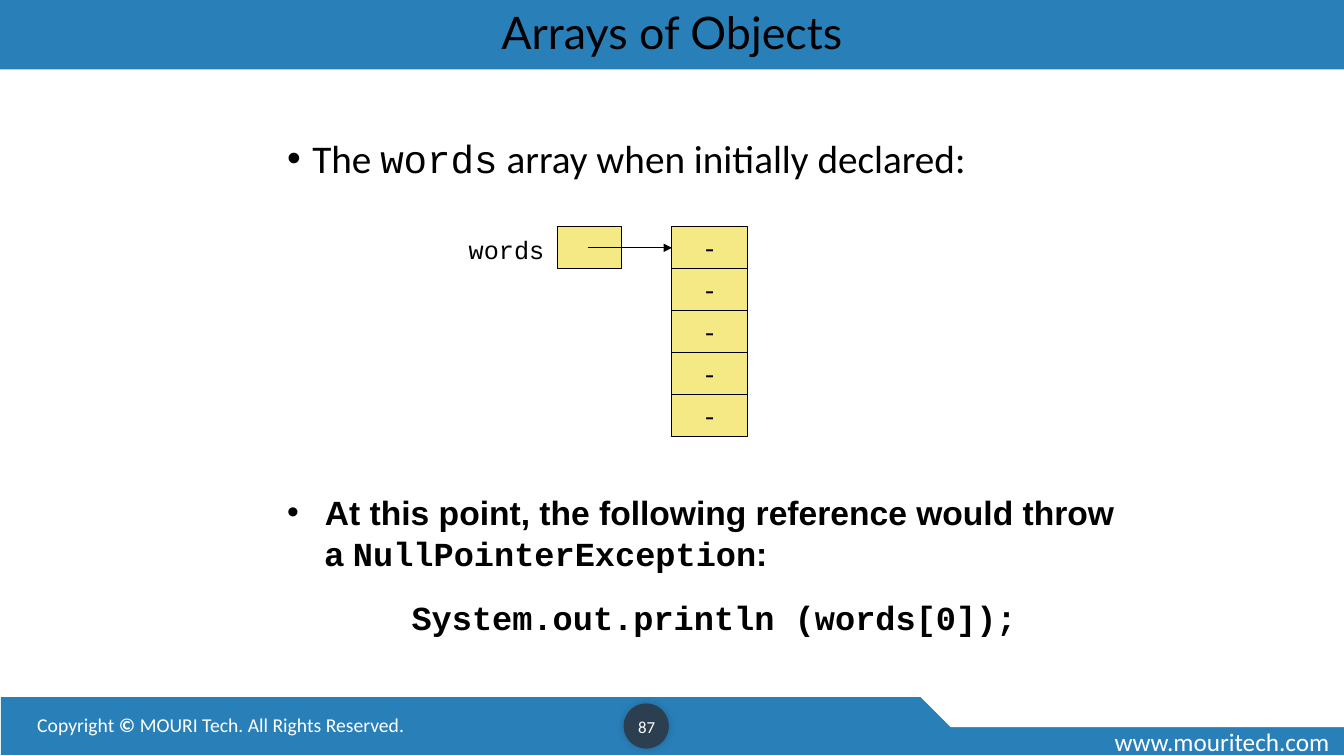
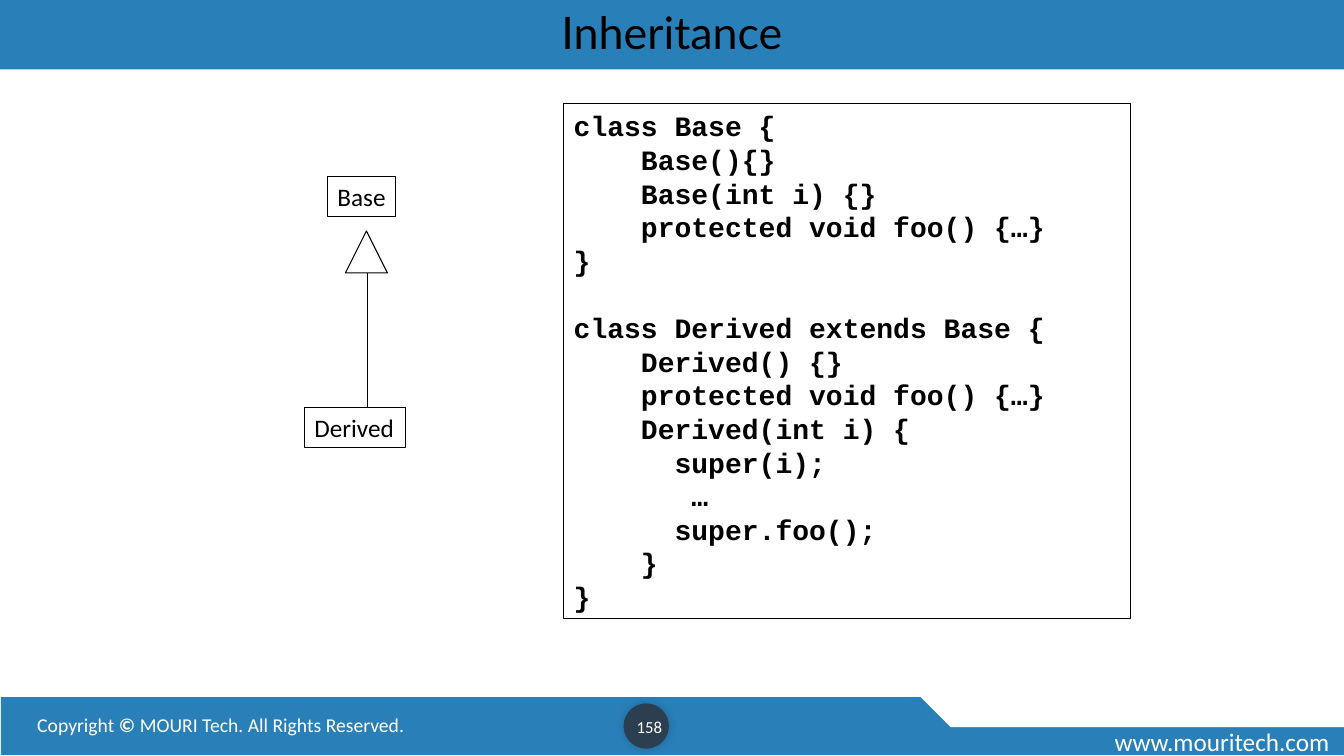
from lxml import etree
from pptx import Presentation
from pptx.dml.color import RGBColor
from pptx.enum.shapes import MSO_CONNECTOR, MSO_SHAPE
from pptx.enum.text import MSO_ANCHOR, PP_ALIGN
from pptx.oxml.ns import qn
from pptx.util import Pt

PX = 9525
SLIDE_SIZE = (1280, 720)
RECT, OVAL = MSO_SHAPE.RECTANGLE, MSO_SHAPE.OVAL
SNIPPED, TRIANGLE = MSO_SHAPE.SNIP_2_DIAG_RECTANGLE, MSO_SHAPE.ISOSCELES_TRIANGLE
STRAIGHT = MSO_CONNECTOR.STRAIGHT
LEFT, CENTER = PP_ALIGN.LEFT, PP_ALIGN.CENTER
TOP, MIDDLE = MSO_ANCHOR.TOP, MSO_ANCHOR.MIDDLE

COLORS = {"band": "2980B9", "disc": "2C3F50", "cell": "F5E985",
          "ink": "000000", "paper": "FFFFFF"}
BODY, TITLE, SANS, MONO = "Calibri", "Lato", "Arial", "Courier New"

# Mixed text is a list of (text, font, bold) runs.
WEB_ADDRESS = "www.mouritech.com"
COPYRIGHT = [("Copyright ", BODY, False), ("© ", BODY, True),
             ("MOURI Tech. All Rights Reserved.", BODY, False)]

ARRAY_INTRO = [("The ", BODY, False), ("words", MONO, False),
               (" array when initially declared:", BODY, False)]
ARRAY_VALUES = ["-"] * 5
NULL_WARNING = [
    [("At this point, the following reference would throw a ", SANS, True),
     ("NullPointerException", MONO, True), (":", SANS, True)],
    [("System.out.println (words[0]);", MONO, True)],
]

CLASSES = [("Base", (312, 168, 65, 38)), ("Derived", (290, 388, 96, 38))]
BASE_CODE = [
    "class Base {",
    "    Base(){}",
    "    Base(int i) {}",
    "    protected void foo() {…}",
    "}",
]
DERIVED_CODE = [
    "class Derived extends Base {",
    "    Derived() {}",
    "    protected void foo() {…}",
    "    Derived(int i) {",
    "      super(i);",
    "       …",
    "      super.foo();",
    "    }",
    "}",
]


def px(*lengths):
    return [round(length * PX) for length in lengths]


def rgb(name):
    return RGBColor.from_string(COLORS[name])


def add_box(slide, box, fill=None, line=None, kind=RECT, line_width=0.75):
    shape = slide.shapes.add_shape(kind, *px(*box))
    shape.shadow.inherit = False
    if fill:
        shape.fill.solid()
        shape.fill.fore_color.rgb = rgb(fill)
    else:
        shape.fill.background()
    if line:
        shape.line.color.rgb = rgb(line)
        shape.line.width = Pt(line_width)
    else:
        shape.line.fill.background()
    return shape


def write(shape, paragraphs, size, color="ink", font=BODY, bold=False,
          align=LEFT, anchor=TOP, wrap=True):
    """Fill a shape with paragraphs, each a string or a list of runs."""
    frame = shape.text_frame
    frame.word_wrap = wrap
    frame.vertical_anchor = anchor
    for index, content in enumerate(paragraphs):
        paragraph = frame.add_paragraph() if index else frame.paragraphs[0]
        paragraph.alignment = align
        runs = [(content, font, bold)] if isinstance(content, str) else content
        for text, run_font, run_bold in runs:
            run = paragraph.add_run()
            run.text = text
            run.font.name, run.font.bold = run_font, run_bold
            run.font.size = Pt(size)
            run.font.color.rgb = rgb(color)
    return frame.paragraphs


def add_text(slide, box, paragraphs, size, **style):
    return write(slide.shapes.add_textbox(*px(*box)), paragraphs, size, **style)


def add_bullet(paragraph, indent):
    properties = paragraph._p.get_or_add_pPr()
    width = px(indent)[0]
    properties.set("marL", str(width))
    properties.set("indent", str(-width))
    font = etree.SubElement(properties, qn("a:buFont"))
    font.set("typeface", SANS)
    etree.SubElement(properties, qn("a:buChar")).set("char", "•")


def add_line(slide, start, end, arrow=False):
    connector = slide.shapes.add_connector(STRAIGHT, *px(*start, *end))
    connector.line.color.rgb = rgb("ink")
    connector.line.width = Pt(0.75)
    if arrow:
        outline = connector.line._get_or_add_ln()
        etree.SubElement(outline, qn("a:tailEnd")).set("type", "triangle")
    etree.SubElement(connector._element.spPr, qn("a:effectLst"))


def add_soft_shadow(shape):
    effects = shape._element.spPr.find(qn("a:effectLst"))
    shadow = etree.SubElement(effects, qn("a:outerShdw"), blurRad=str(Pt(6)),
                              dist="0", dir="18900000")
    color = etree.SubElement(shadow, qn("a:srgbClr"), val=COLORS["ink"])
    etree.SubElement(color, qn("a:alpha"), val="20000")


def add_page(deck, title, number, number_width):
    """Add a slide with its title band, footer and page number."""
    slide = deck.slides.add_slide(deck.slide_layouts[5])
    heading = slide.shapes.title
    heading.left, heading.top, heading.width, heading.height = px(0, 0, 1280, 66)
    heading.fill.solid()
    heading.fill.fore_color.rgb = rgb("band")
    write(heading, [title], 32, font=TITLE, align=CENTER,
          anchor=MIDDLE)[0].line_spacing = 0.9

    add_box(slide, (1, 664, 1279, 55), "band")
    notch = add_box(slide, (856, 592, 424, 100), "paper", "paper", SNIPPED, 1)
    notch.adjustments[0], notch.adjustments[1] = 0, 0.5
    add_text(slide, (1052, 687, 228, 38), [WEB_ADDRESS], 18, color="paper")
    add_text(slide, (26, 674, 688, 33), [COPYRIGHT], 14, color="paper")
    add_soft_shadow(add_box(slide, (594, 670, 43, 43), "disc", kind=OVAL))
    add_text(slide, (596, 673, number_width, 38), [number], 12, color="paper",
             align=CENTER, anchor=MIDDLE, wrap=False)
    return slide


def build_arrays(deck):
    slide = add_page(deck, "Arrays of Objects", "87", 40)
    intro = add_text(slide, (264, 128, 832, 64), [ARRAY_INTRO], 28)[0]
    add_bullet(intro, 24)
    intro.line_spacing = 0.9

    array_left, array_top, cell_width, cell_height = 640, 216, 72, 40
    add_box(slide, (531, array_top, 61, cell_height), "cell", "ink")
    add_text(slide, (437, 218, 91, 38), ["words"], 18, font=MONO, wrap=False)
    for row, value in enumerate(ARRAY_VALUES):
        cell = add_box(slide, (array_left, array_top + row * cell_height,
                               cell_width, cell_height), "cell", "ink")
        write(cell, [value], 18, font=MONO, align=CENTER, anchor=MIDDLE,
              wrap=False)
    arrow_y = array_top + cell_height / 2
    add_line(slide, (560, arrow_y), (array_left, arrow_y), arrow=True)

    warning, statement = add_text(slide, (264, 464, 832, 176), NULL_WARNING, 24)
    add_bullet(warning, 36)
    statement.alignment = CENTER
    statement.space_before = Pt(17)


def build_inheritance(deck):
    slide = add_page(deck, "Inheritance", "158", 45)
    for name, box in CLASSES:
        write(add_box(slide, box, line="ink"), [name], 18, wrap=False)
    add_box(slide, (329, 220, 40, 40), line="ink", kind=TRIANGLE)
    add_line(slide, (350, 388), (350, 260))

    listing = add_box(slide, (537, 99, 540, 490), line="ink")
    lines = write(listing, BASE_CODE + DERIVED_CODE, 20, font=MONO, bold=True)
    lines[len(BASE_CODE)].space_before = Pt(24)


def main():
    deck = Presentation()
    deck.slide_width, deck.slide_height = px(*SLIDE_SIZE)
    build_arrays(deck)
    build_inheritance(deck)
    deck.save("out.pptx")


if __name__ == "__main__":
    main()
